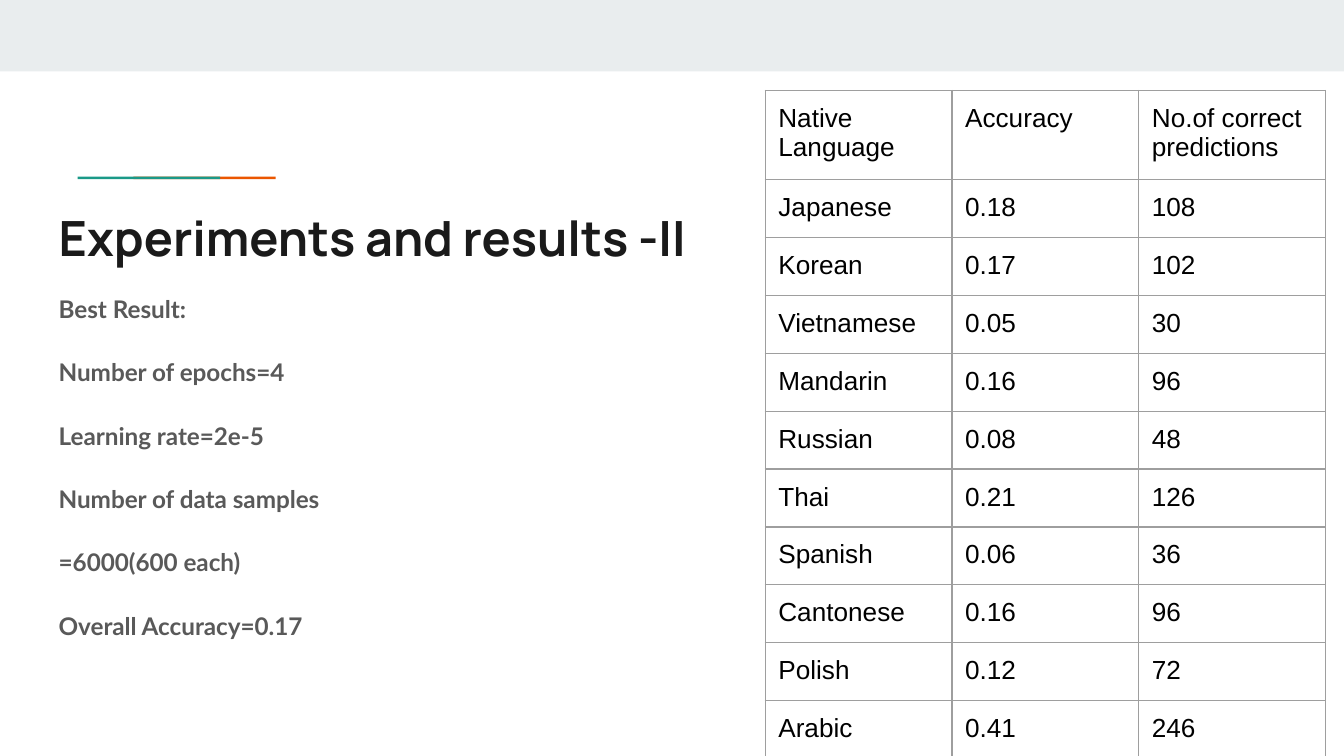
import dataclasses

import lxml.etree
import pptx
import pptx.dml.color
import pptx.enum.shapes
import pptx.enum.text
import pptx.oxml.ns
import pptx.util

Cm = pptx.util.Cm
Pt = pptx.util.Pt


@dataclasses.dataclass(frozen=True)
class Theme:
    band: str = "E9EDEE"
    orange: str = "EB5600"
    teal: str = "1A9988"
    border: str = "9E9E9E"
    title: tuple = ("Manrope", 26, True, "1A1A1A")
    body: tuple = ("Lato", 13, True, "595959")
    cell: tuple = ("Arial", 14, False, "000000")


THEME = Theme()
INSET = Cm(0.25)

RESULT_LINES = [
    "Best Result:",
    "Number of epochs=4",
    "Learning rate=2e-5",
    "Number of data samples",
    "=6000(600 each)",
    "Overall Accuracy=0.17",
]

ACCURACY_ROWS = [
    ("Native Language", "Accuracy", "No.of correct predictions"),
    ("Japanese", "0.18", "108"),
    ("Korean", "0.17", "102"),
    ("Vietnamese", "0.05", "30"),
    ("Mandarin", "0.16", "96"),
    ("Russian", "0.08", "48"),
    ("Thai", "0.21", "126"),
    ("Spanish", "0.06", "36"),
    ("Cantonese", "0.16", "96"),
    ("Polish", "0.12", "72"),
    ("Arabic", "0.41", "246"),
]


def set_values(target, values):
    for name, value in values.items():
        setattr(target, name, value)


def set_insets(target):
    sides = ("left", "top", "right", "bottom")
    set_values(target, {f"margin_{side}": INSET for side in sides})


def write_span(para, text, style):
    family, size, bold, color = style
    span = para.add_run()
    span.text = text
    set_values(span.font, {"name": family, "size": Pt(size), "bold": bold})
    span.font.color.rgb = pptx.dml.color.RGBColor.from_string(color)


def add_bar(page, left, top, width, height, color):
    bar = page.shapes.add_shape(
        pptx.enum.shapes.MSO_SHAPE.RECTANGLE,
        Cm(left), Cm(top), Cm(width), Cm(height))
    bar.shadow.inherit = False
    bar.fill.solid()
    bar.fill.fore_color.rgb = pptx.dml.color.RGBColor.from_string(color)
    bar.line.fill.background()


def add_text(page, left, top, width, height, lines, style, **spacing):
    """Add a text box; spacing applies to paragraphs, space_before skips the first."""
    box = page.shapes.add_textbox(Cm(left), Cm(top), Cm(width), Cm(height))
    frame = box.text_frame
    set_insets(frame)
    set_values(frame, {
        "word_wrap": True,
        "vertical_anchor": pptx.enum.text.MSO_ANCHOR.TOP,
    })
    for index, line in enumerate(lines):
        para = frame.paragraphs[0] if index == 0 else frame.add_paragraph()
        set_values(para, spacing)
        if index == 0:
            para.space_before = Pt(0)
        write_span(para, line, style)


def add_borders(cell):
    properties = cell._tc.get_or_add_tcPr()
    qn = pptx.oxml.ns.qn
    for index, side in enumerate(("lnL", "lnR", "lnT", "lnB")):
        line = lxml.etree.Element(qn(f"a:{side}"), w=str(Pt(0.75)))
        fill = lxml.etree.SubElement(line, qn("a:solidFill"))
        lxml.etree.SubElement(fill, qn("a:srgbClr"), val=THEME.border)
        properties.insert(index, line)


def add_grid(page, left, top, column_width, header_height, row_height, rows):
    columns = len(rows[0])
    heights = [header_height] + [row_height] * (len(rows) - 1)
    table = page.shapes.add_table(
        len(rows), columns, Cm(left), Cm(top),
        Cm(column_width * columns), Cm(sum(heights))).table
    set_values(table, {"first_row": False, "horz_banding": False})
    for column in table.columns:
        column.width = Cm(column_width)
    for row, height, texts in zip(table.rows, heights, rows):
        row.height = Cm(height)
        for cell, text in zip(row.cells, texts):
            set_insets(cell)
            cell.fill.background()
            add_borders(cell)
            write_span(cell.text_frame.paragraphs[0], text, THEME.cell)


def main():
    deck = pptx.Presentation()
    set_values(deck, {"slide_width": Cm(25.4), "slide_height": Cm(14.29)})
    page = deck.slides.add_slide(deck.slide_layouts[6])

    add_bar(page, 0, 0, 25.4, 1.35, THEME.band)
    add_bar(page, 2.52, 3.34, 2.69, 0.05, THEME.orange)
    add_bar(page, 1.47, 3.34, 2.69, 0.05, THEME.teal)
    add_text(page, 0.86, 3.68, 23.67, 1.3,
             ["Experiments and results -II"], THEME.title)
    add_text(page, 0.86, 5.23, 12.8, 7.39, RESULT_LINES, THEME.body,
             line_spacing=1.15, space_before=Pt(16))
    add_grid(page, 14.46, 1.71, 3.53, 1.62, 1.06, ACCURACY_ROWS)

    deck.save("out.pptx")


if __name__ == "__main__":
    main()
